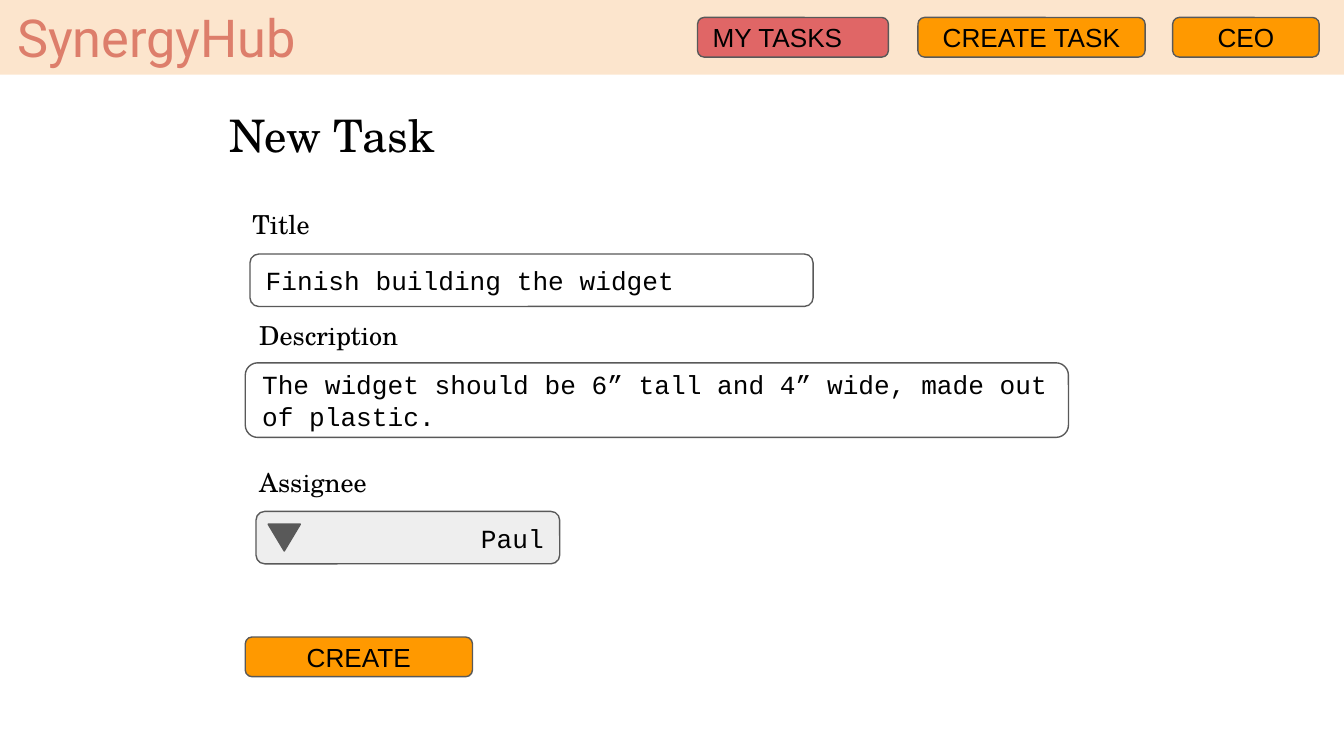
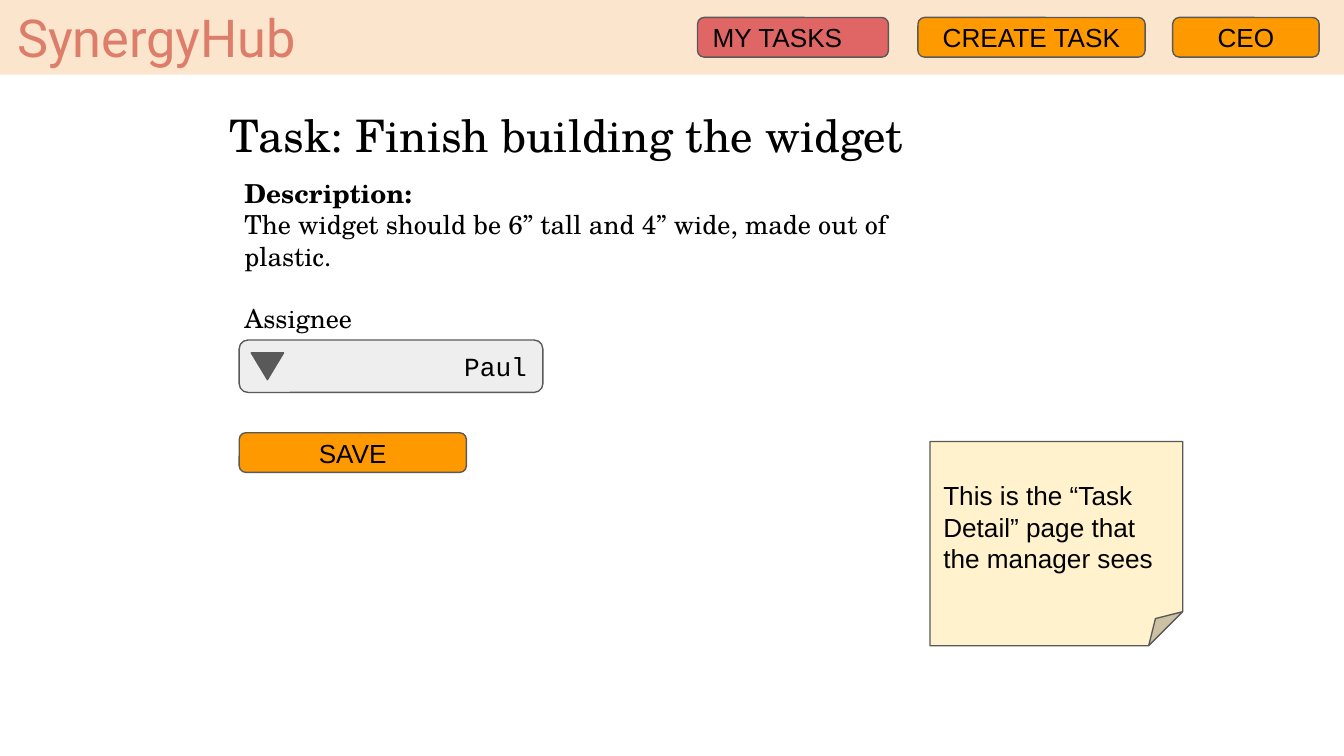
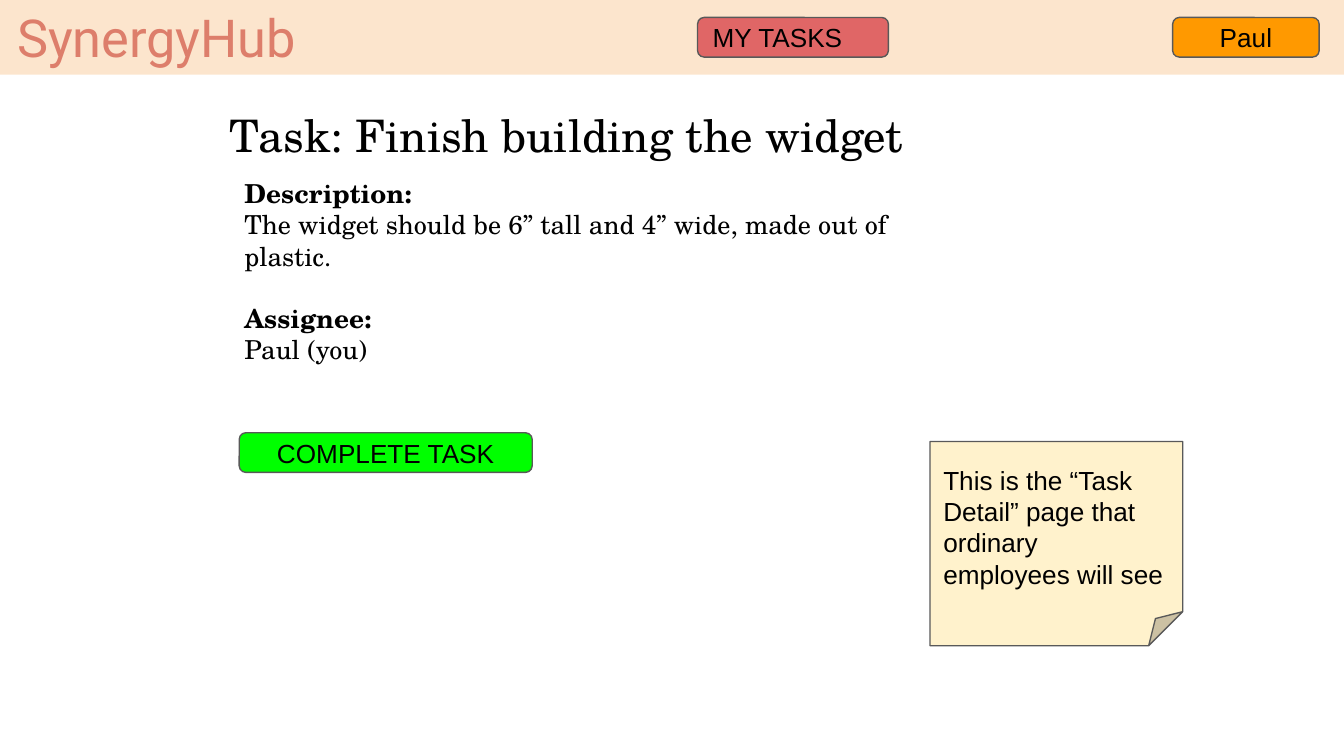
import pptx
import pptx.util
import pptx.dml.color
import pptx.enum.shapes
import pptx.enum.text

COLORS = {
    "band": "FCE5CD", "brand": "DD7E6B", "orange": "FF9900", "red": "E06666",
    "green": "00FF00", "white": "FFFFFF", "gray": "EEEEEE", "note": "FFF2CC",
    "edge": "595959", "ink": "000000",
}
SERIF, SANS, MONO, BRAND = "TeX Gyre Schola", "Arial", "Courier New", "Roboto"
SHAPE = pptx.enum.shapes.MSO_SHAPE
ALIGN = pptx.enum.text.PP_ALIGN
LEFT, CENTER, RIGHT = ALIGN.LEFT, ALIGN.CENTER, ALIGN.RIGHT

deck = pptx.Presentation()
deck.slide_width = pptx.util.Inches(10)
deck.slide_height = pptx.util.Inches(5.625)
CELL = deck.slide_width / 100
INSET = round(CELL)


def write(box, lines, font, size=14, color="ink", align=LEFT):
    frame = box.text_frame
    frame.word_wrap = True
    frame.margin_left = frame.margin_right = INSET
    frame.margin_top = frame.margin_bottom = INSET
    for index, (text, bold) in enumerate(lines):
        para = frame.paragraphs[0] if index == 0 else frame.add_paragraph()
        para.alignment = align
        span = para.add_run()
        span.text = text
        span.font.name = font
        span.font.size = pptx.util.Pt(size)
        span.font.bold = bold
        span.font.color.rgb = pptx.dml.color.RGBColor.from_string(COLORS[color])


def place(page, area, kind=None, fill=None, edge="edge"):
    column, row, columns, rows = (round(length * CELL) for length in area)
    if kind is None:
        box = page.shapes.add_textbox(column, row, columns, rows)
        box.text_frame.auto_size = pptx.enum.text.MSO_AUTO_SIZE.SHAPE_TO_FIT_TEXT
        return box
    box = page.shapes.add_shape(kind, column, row, columns, rows)
    box.shadow.inherit = False
    box.fill.solid()
    box.fill.fore_color.rgb = pptx.dml.color.RGBColor.from_string(COLORS[fill])
    if edge:
        box.line.color.rgb = pptx.dml.color.RGBColor.from_string(COLORS[edge])
        box.line.width = pptx.util.Pt(0.75)
    else:
        box.line.fill.background()
    box.text_frame.vertical_anchor = pptx.enum.text.MSO_ANCHOR.MIDDLE
    return box


task_title = "Finish building the widget"
task_description = "The widget should be 6” tall and 4” wide, made out of plastic."
my_tasks = ("MY TASKS", 51.9, 14.2, "red", LEFT)
create_task = ("CREATE TASK", 68.3, 16.9, "orange", CENTER)
headers = [
    ("New Task", 22.6, "CEO", [create_task, my_tasks]),
    ("Task: " + task_title, 62.3, "CEO", [create_task, my_tasks]),
    ("Task: " + task_title, 62.3, "Paul", [my_tasks]),
]

pages = []
for heading, heading_columns, user, menu in headers:
    page = deck.slides.add_slide(deck.slide_layouts[6])
    pages.append(page)
    place(page, (0, 0, 100, 5.55), SHAPE.RECTANGLE, "band", None)
    write(place(page, (0.3, -0.6, 50.3, 6.7)), [("SynergyHub", False)], BRAND, 28, "brand")
    write(place(page, (16.1, 7, heading_columns, 6.1)), [(heading, False)], SERIF, 24)
    for label, column, columns, fill, align in [(user, 87.25, 10.9, "orange", CENTER)] + menu:
        button = place(page, (column, 1.3, columns, 2.95), SHAPE.ROUNDED_RECTANGLE, fill)
        write(button, [(label, False)], SANS, align=align)
form_page, manager_page, employee_page = pages

for label, column, row, columns in [
    ("Title", 17.8, 14.5, 11.2),
    ("Description", 18.3, 22.8, 15.9),
    ("Assignee", 18.3, 33.7, 15.9),
]:
    write(place(form_page, (column, row, columns, 4.4)), [(label, False)], SERIF)

for entry, area in [
    (task_title, (18.6, 18.9, 41.9, 3.9)),
    (task_description, (18.25, 27, 61.25, 5.55)),
]:
    field = place(form_page, area, SHAPE.ROUNDED_RECTANGLE, "white")
    write(field, [(entry, False)], MONO)

for page in (manager_page, employee_page):
    lines = [("Description:", True), (task_description, False)]
    write(place(page, (17.2, 12.2, 52.5, 11.4)), lines, SERIF)

for page, rows, lines in [
    (manager_page, 4.4, [("Assignee", False)]),
    (employee_page, 6.7, [("Assignee:", True), ("Paul (you)", False)]),
]:
    write(place(page, (17.2, 21.5, 15.9, rows)), lines, SERIF)

for page, column, row in [(form_page, 19.05, 38.05), (manager_page, 17.8, 25.3)]:
    dropdown = place(page, (column, row, 22.6, 3.9), SHAPE.ROUNDED_RECTANGLE, "gray")
    write(dropdown, [("Paul", False)], MONO, align=RIGHT)
    arrow = place(page, (column + 0.9, row + 0.95, 2.4, 2), SHAPE.ISOSCELES_TRIANGLE, "edge")
    arrow.rotation = 180

for page, action, column, row, columns, fill in [
    (form_page, "CREATE", 18.25, 47.4, 16.9, "orange"),
    (manager_page, "SAVE", 17.8, 32.2, 16.9, "orange"),
    (employee_page, "COMPLETE TASK", 17.8, 32.2, 21.8, "green"),
]:
    button = place(page, (column, row, columns, 2.95), SHAPE.ROUNDED_RECTANGLE, fill)
    write(button, [(action, False)], SANS, align=CENTER)

for page, audience in [
    (manager_page, "the manager sees"),
    (employee_page, "ordinary employees will see"),
]:
    note = place(page, (69.2, 32.85, 18.8, 15.2), SHAPE.FOLDED_CORNER, "note")
    write(note, [("This is the “Task Detail” page that " + audience, False)], SANS)

deck.save("out.pptx")
